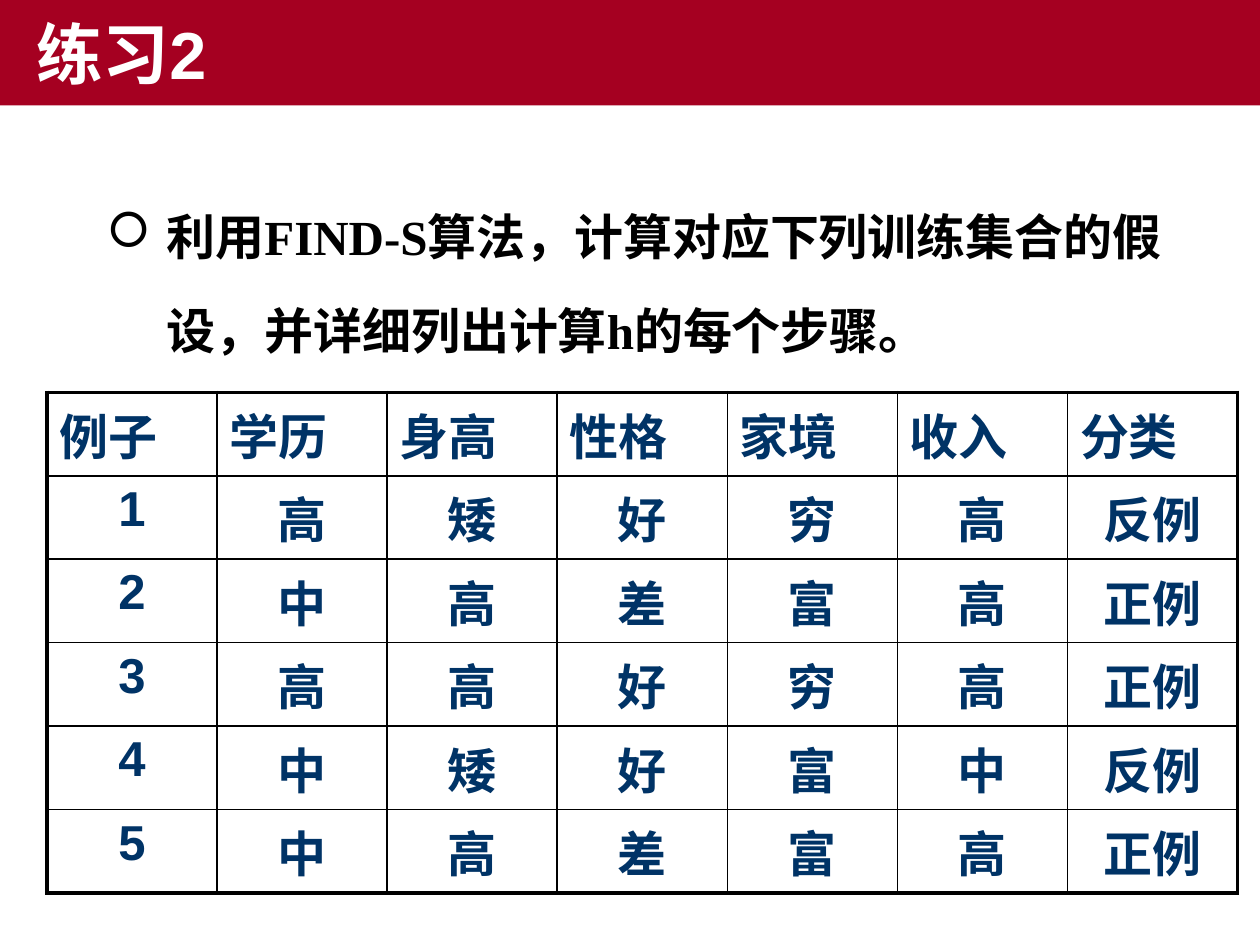
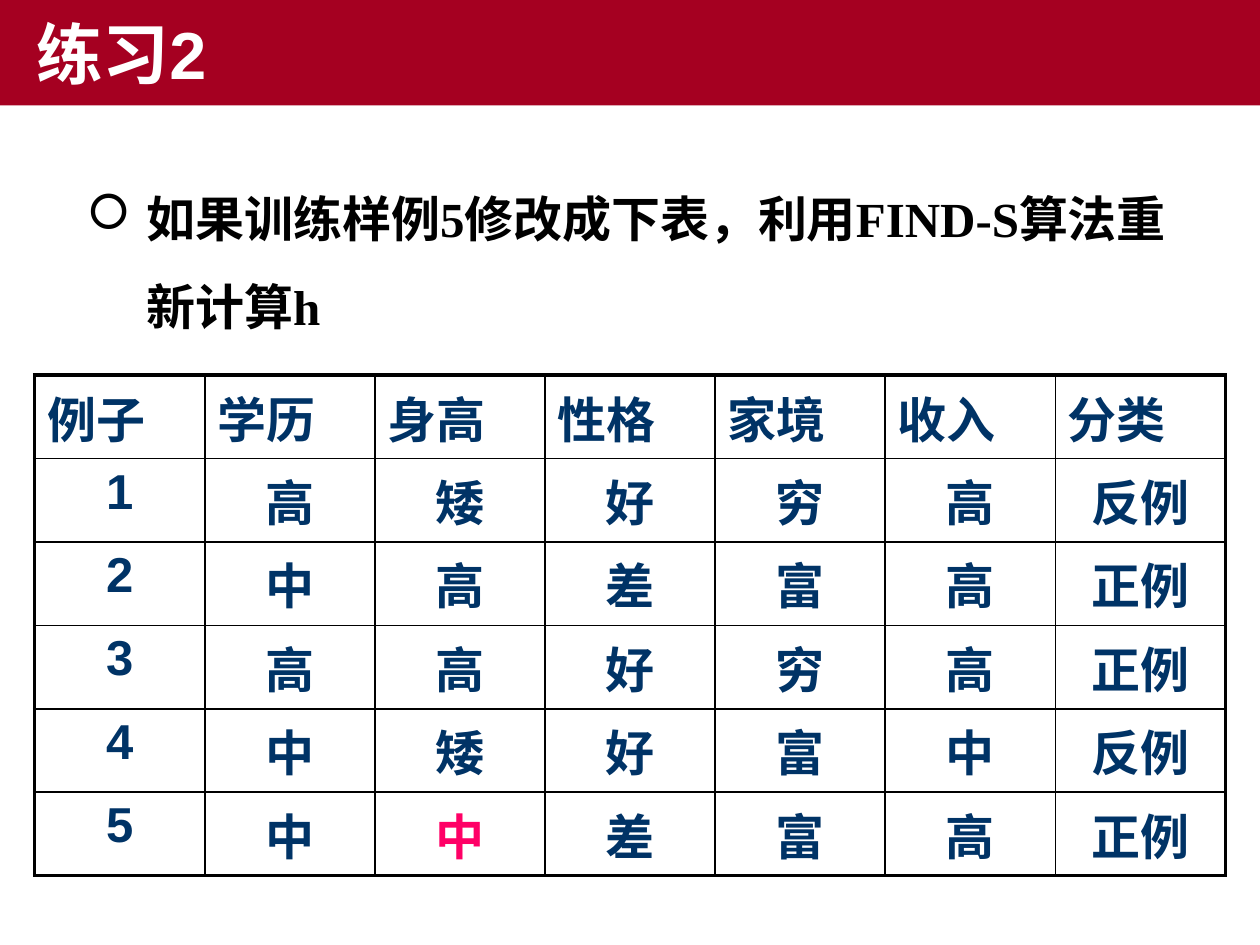
import pptx
import pptx.dml.color
import pptx.enum.shapes
import pptx.enum.text
import pptx.oxml
import pptx.oxml.ns
import pptx.util

Pt = pptx.util.Pt
ALIGN = pptx.enum.text.PP_ALIGN
RED, NAVY, PINK = "A50021", "003366", "FF0066"
BLACK, WHITE = "000000", "FFFFFF"
COL_WIDTH, ROW_HEIGHT = 97.2, 47.7
THIN, THICK = 1, 2.25
HANGING = 34.1


def style(p, name, size, color):
    """Format every run of a paragraph as bold text."""
    for r in p.runs:
        r.font.name, r.font.size, r.font.bold = name, Pt(size), True
        r.font.color.rgb = pptx.dml.color.RGBColor.from_string(color)


def set_borders(cell, widths):
    """Draw the cell's borders; widths are left, right, top, bottom."""
    tc_pr = cell._tc.get_or_add_tcPr()
    for i, (side, width) in enumerate(zip("LRTB", widths)):
        tc_pr.insert(i, pptx.oxml.parse_xml(
            f'<a:ln{side} {pptx.oxml.ns.nsdecls("a")} w="{Pt(width)}">'
            f'<a:solidFill><a:srgbClr val="{BLACK}"/></a:solidFill></a:ln{side}>'))


header = ["例子", "学历", "身高", "性格", "家境", "收入", "分类"]
examples = [
    ["1", "高", "矮", "好", "穷", "高", "反例"],
    ["2", "中", "高", "差", "富", "高", "正例"],
    ["3", "高", "高", "好", "穷", "高", "正例"],
    ["4", "中", "矮", "好", "富", "中", "反例"],
]
# question, its box, line spacing, table left and top, example 5, changed cell
exercises = [
    ("利用FIND-S算法，计算对应下列训练集合的假设，并详细列出计算h的每个步骤。",
     (54, 94.5, 635, 116), 1.6, (26.8, 224.2),
     ["5", "中", "高", "差", "富", "高", "正例"], None),
    ("如果训练样例5修改成下表，利用FIND-S算法重新计算h",
     (42.5, 87.2, 635, 108.5), 1.5, (19.8, 214.3),
     ["5", "中", "中", "差", "富", "高", "正例"], (5, 2)),
]

prs = pptx.Presentation()
prs.slide_width, prs.slide_height = Pt(720), Pt(540)

for question, box, spacing, (left, top), example5, changed in exercises:
    slide = prs.slides.add_slide(prs.slide_layouts[6])

    # Title band
    sp = slide.shapes.add_shape(pptx.enum.shapes.MSO_SHAPE.RECTANGLE,
                                Pt(0), Pt(0), Pt(720), Pt(60.2))
    sp.shadow.inherit = False
    sp.fill.solid()
    sp.fill.fore_color.rgb = pptx.dml.color.RGBColor.from_string(RED)
    sp.line.fill.background()
    tf = sp.text_frame
    tf.text = "练习2"
    tf.vertical_anchor = pptx.enum.text.MSO_ANCHOR.MIDDLE
    p = tf.paragraphs[0]
    p.alignment = ALIGN.LEFT
    p._p.get_or_add_pPr().set("indent", str(Pt(13.7)))
    style(p, "Arial", 38, WHITE)

    # Question
    tf = slide.shapes.add_textbox(*map(Pt, box)).text_frame
    tf.word_wrap = True
    tf.text = question
    p = tf.paragraphs[0]
    p.line_spacing = spacing
    p_pr = p._p.get_or_add_pPr()
    p_pr.set("marL", str(Pt(HANGING)))
    p_pr.set("indent", str(-Pt(HANGING)))
    for bullet in ('buFont {} typeface="Wingdings"', 'buChar {} char="□"'):
        p_pr.append(pptx.oxml.parse_xml(
            f'<a:{bullet.format(pptx.oxml.ns.nsdecls("a"))}/>'))
    style(p, "Times New Roman", 28, BLACK)

    # Training examples
    rows = [header, *examples, example5]
    last_row, last_col = len(rows) - 1, len(header) - 1
    table = slide.shapes.add_table(
        len(rows), len(header), Pt(left), Pt(top),
        Pt(COL_WIDTH * len(header)), Pt(ROW_HEIGHT * len(rows))).table
    table.first_row = table.horz_banding = False
    for i, row in enumerate(rows):
        for j, value in enumerate(row):
            cell = table.cell(i, j)
            cell.fill.background()
            outer = (j == 0, j == last_col, i == 0, i == last_row)
            set_borders(cell, [THICK if edge else THIN for edge in outer])
            cell.text_frame.text = value
            p = cell.text_frame.paragraphs[0]
            p.alignment = ALIGN.CENTER if i else ALIGN.LEFT
            style(p, "Arial" if i or j else "Times New Roman", 28,
                  PINK if (i, j) == changed else NAVY)

prs.save("out.pptx")
